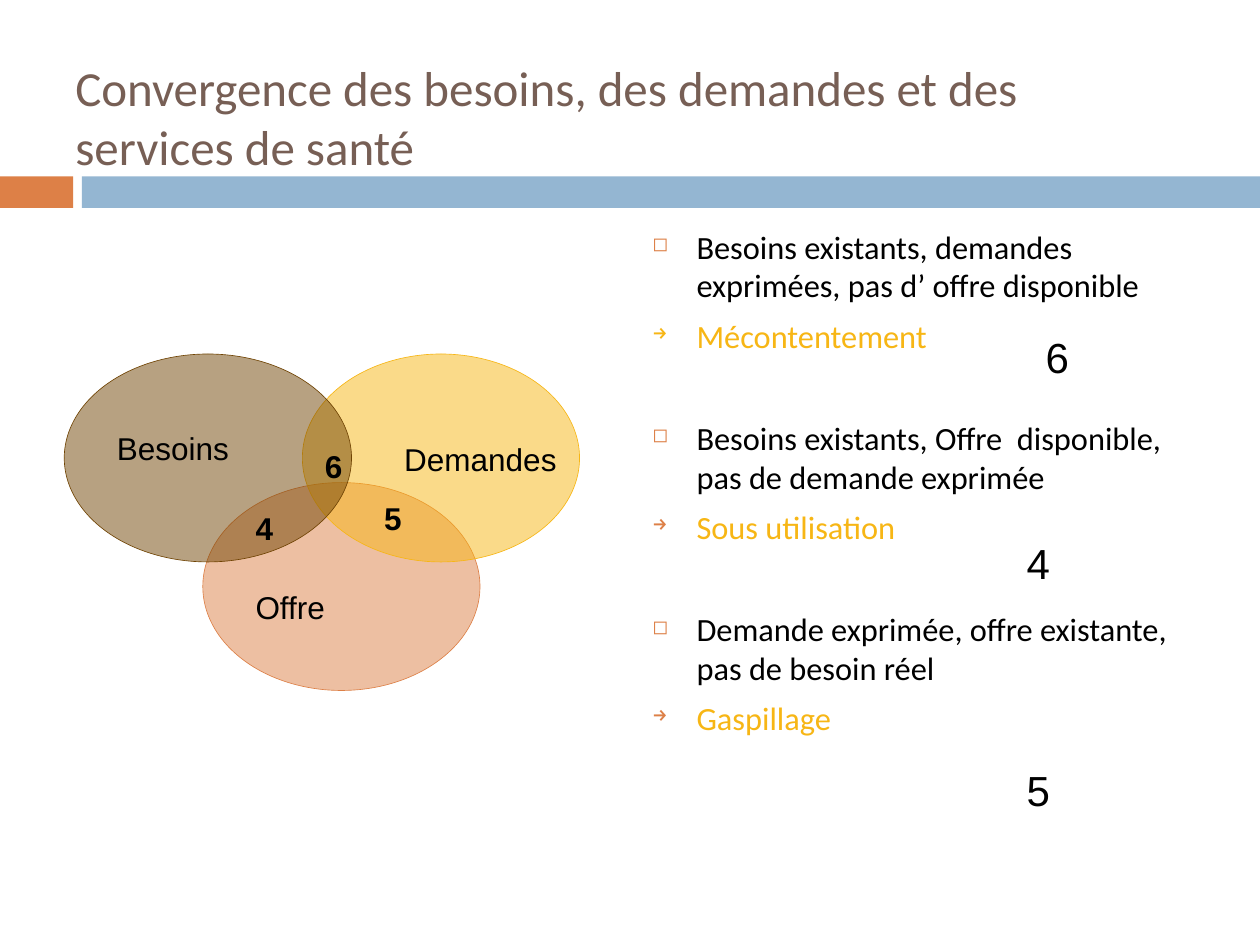
from dataclasses import dataclass

from lxml import etree
from pptx import Presentation
from pptx import util as u
from pptx.dml.color import RGBColor
from pptx.enum import shapes, text
from pptx.oxml import ns


@dataclass(frozen=True)
class Theme:
    orange: str = "DD8047"
    blue: str = "94B6D2"
    yellow: str = "F7B615"
    brown: str = "704404"
    heading: str = "775F55"
    black: str = "000000"
    title_size: float = 28
    body_size: float = 18.5
    label_size: float = 18
    number_size: float = 24
    body_font: str = "Calibri"
    label_font: str = "Arial"


theme = Theme()


def write(para, words, *, size, font, color=theme.black, bold=False,
          before=0, bullet=None, bullet_color=theme.orange):
    """Write one formatted paragraph, with a hanging bullet if one is given."""
    para.alignment = text.PP_ALIGN.LEFT
    para.space_before = u.Pt(before)
    if bullet:
        props = para._p.get_or_add_pPr()
        props.set("marL", str(u.Inches(0.35)))
        props.set("indent", str(u.Inches(-0.35)))
        tint = etree.SubElement(props, ns.qn("a:buClr"))
        etree.SubElement(tint, ns.qn("a:srgbClr"), val=bullet_color)
        etree.SubElement(props, ns.qn("a:buSzPct"), val="60000")
        etree.SubElement(props, ns.qn("a:buChar"), char=bullet)
    span = para.add_run()
    span.text = words
    span.font.size = u.Pt(size)
    span.font.name = font
    span.font.bold = bold
    span.font.color.rgb = RGBColor.from_string(color)


def add_box(left, top, width, height, anchor=text.MSO_ANCHOR.TOP):
    """Add a wrapping text box and return its text frame."""
    box = page.shapes.add_textbox(*map(u.Inches, (left, top, width, height)))
    frame = box.text_frame
    frame.word_wrap = True
    frame.vertical_anchor = anchor
    return frame


deck = Presentation()
deck.slide_width, deck.slide_height = u.Inches(10), u.Inches(7.5)
page = deck.slides.add_slide(deck.slide_layouts[6])

# Band under the title
for left, width, color in [(0, 0.58, theme.orange), (0.65, 9.35, theme.blue)]:
    band = page.shapes.add_shape(
        shapes.MSO_SHAPE.RECTANGLE,
        *map(u.Inches, (left, 1.4, width, 0.25)))
    band.shadow.inherit = False
    band.fill.solid()
    band.fill.fore_color.rgb = RGBColor.from_string(color)
    band.line.fill.background()

# Title
title = add_box(0.5, 0.3, 9, 1.25, text.MSO_ANCHOR.MIDDLE)
write(title.paragraphs[0],
      "Convergence des besoins, des demandes et des services de santé",
      size=theme.title_size, font=theme.body_font, color=theme.heading)

# Overlapping, half-transparent ellipses
for left, top, width, color in [(1.61, 3.83, 2.2, theme.orange),
                                (2.4, 2.81, 2.2, theme.yellow),
                                (0.51, 2.81, 2.28, theme.brown)]:
    ellipse = page.shapes.add_shape(
        shapes.MSO_SHAPE.OVAL, *map(u.Inches, (left, top, width, 1.65)))
    ellipse.shadow.inherit = False
    ellipse.fill.solid()
    ellipse.fill.fore_color.rgb = RGBColor.from_string(color)
    fill_color = ellipse.fill._xPr.find(".//" + ns.qn("a:srgbClr"))
    etree.SubElement(fill_color, ns.qn("a:alpha"), val="50000")
    ellipse.line.color.rgb = RGBColor.from_string(color)
    ellipse.line.width = u.Pt(0.37)

# Situations, each with its consequence
situations = [
    ("Besoins existants, demandes exprimées, pas d’ offre disponible",
     "Mécontentement", theme.yellow),
    ("Besoins existants, Offre  disponible, pas de demande exprimée",
     "Sous utilisation", theme.orange),
    ("Demande exprimée, offre existante, pas de besoin réel",
     "Gaspillage", theme.orange),
]
body = add_box(5.08, 1.75, 4.42, 4.95)
for index, (situation, consequence, arrow_color) in enumerate(situations):
    para = body.add_paragraph() if index else body.paragraphs[0]
    write(para, situation, size=theme.body_size, font=theme.body_font,
          before=36 if index else 0, bullet="◻")
    write(body.add_paragraph(), consequence, size=theme.body_size,
          font=theme.body_font, color=theme.yellow, before=6.6,
          bullet="→", bullet_color=arrow_color)

# Ellipse names, overlap numbers and the numbers beside the situations
labels = [
    ("Besoins", 0.83, 3.36, 1.26, theme.label_size, False),
    ("Demandes", 3.11, 3.44, 1.42, theme.label_size, False),
    ("Offre", 1.93, 4.62, 1.5, theme.label_size, False),
    ("6", 2.48, 3.5, 0.35, theme.label_size, True),
    ("4", 1.93, 3.99, 0.39, theme.label_size, True),
    ("5", 2.95, 3.91, 0.35, theme.label_size, True),
    ("6", 8.2, 2.58, 0.47, theme.number_size, False),
    ("4", 8.05, 4.22, 0.47, theme.number_size, False),
    ("5", 8.05, 6.02, 0.47, theme.number_size, False),
]
for words, left, top, width, size, bold in labels:
    height = 0.5 if size == theme.number_size else 0.4
    label = add_box(left, top, width, height)
    write(label.paragraphs[0], words, size=size, font=theme.label_font,
          bold=bold)

deck.save("out.pptx")
